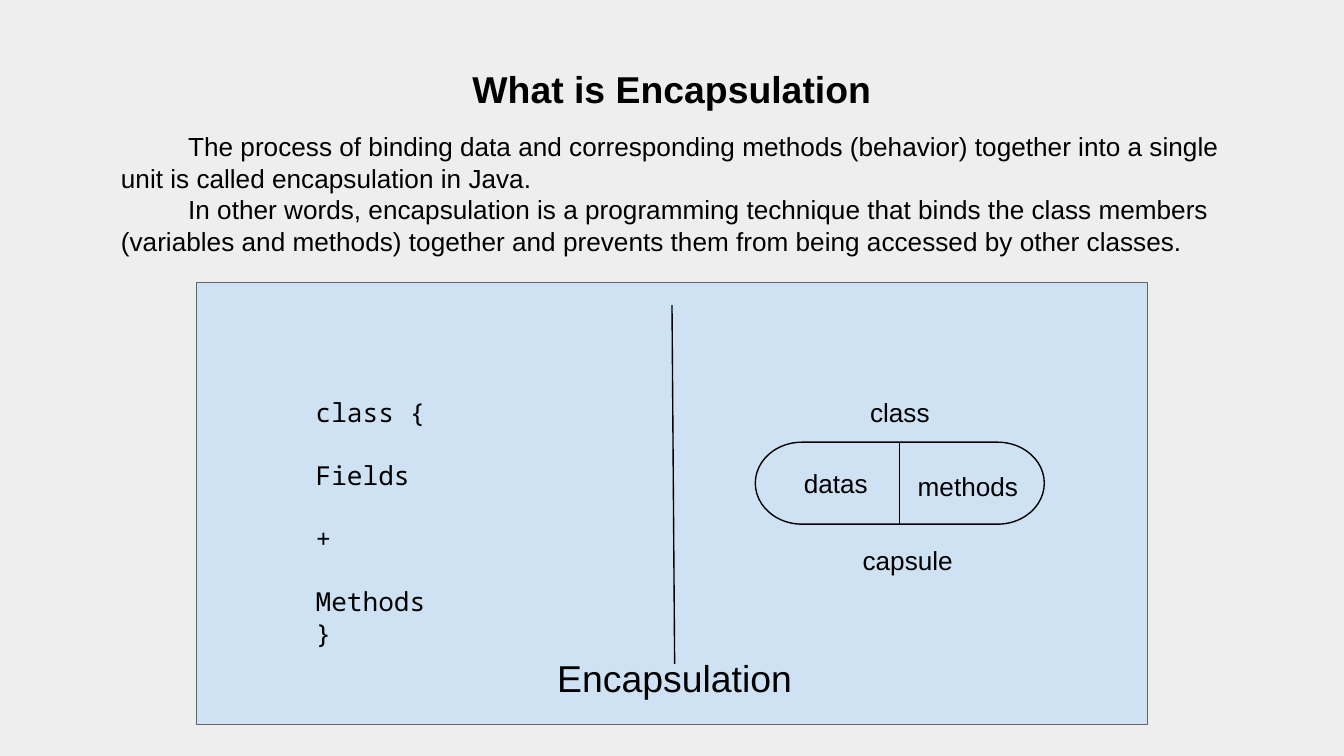
from lxml import etree
from pptx import Presentation
from pptx.dml.color import RGBColor
from pptx.enum import shapes, text
from pptx.oxml.ns import qn
from pptx.util import Inches, Pt

BLACK, PALE_BLUE, GRAY = "000000", "CFE2F3", "666666"


def write(sp, lines, box=None, size=14, font="Arial", bold=False,
          align=text.PP_ALIGN.LEFT, indent=0, gaps=(), left=0.1,
          anchor=text.MSO_ANCHOR.TOP):
    """Place and fill a shape; gaps are the indexes of lines set one line lower."""
    if box:
        sp.left, sp.top, sp.width, sp.height = map(Inches, box)
    tf = sp.text_frame
    tf.word_wrap = True
    tf.auto_size = text.MSO_AUTO_SIZE.NONE
    tf.vertical_anchor = anchor
    tf.margin_left = Inches(left)
    tf.margin_right = tf.margin_top = tf.margin_bottom = Inches(0.1)
    leading = Pt(round(size * 1.21, 1))
    for i, line in enumerate(lines):
        p = tf.paragraphs[0] if i == 0 else tf.add_paragraph()
        p.alignment = align
        p.line_spacing = leading
        p.space_before = leading if i in gaps else Pt(0)
        p.space_after = Pt(0)
        pPr = p._p.get_or_add_pPr()
        pPr.set("marL", "0")
        pPr.set("indent", str(Inches(indent)))
        etree.SubElement(pPr, qn("a:buNone"))
        r = p.add_run()
        r.text = line
        r.font.name, r.font.size, r.font.bold = font, Pt(size), bold
        r.font.color.rgb = RGBColor.from_string(BLACK)


def style(sp, line, fill=None):
    sp.line.color.rgb = RGBColor.from_string(line)
    sp.line.width = Pt(0.75)
    if fill:
        sp.shadow.inherit = False
        sp.fill.solid()
        sp.fill.fore_color.rgb = RGBColor.from_string(fill)
    else:
        etree.SubElement(sp._element.spPr, qn("a:effectLst"))


prs = Presentation()
prs.slide_width = Inches(10)
prs.slide_height = prs.slide_width * 9 // 16
s = prs.slides.add_slide(prs.slide_layouts[1])
s.background.fill.solid()
s.background.fill.fore_color.rgb = RGBColor.from_string("EEEEEE")
center = text.PP_ALIGN.CENTER

# Title and definition
write(s.shapes.title, ["What is Encapsulation"], (0, 0.39, 10, 0.54),
      size=20, bold=True, align=center)
write(s.placeholders[1], [
    "The process of binding data and corresponding methods (behavior) together "
    "into a single unit is called encapsulation in Java.",
    "In other words, encapsulation is a programming technique that binds the class "
    "members (variables and methods) together and prevents them from being accessed "
    "by other classes.",
], (0.8, 0.87, 8.42, 1.14), indent=0.5)

# Diagram panel with its divider
panel = s.shapes.add_shape(shapes.MSO_SHAPE.RECTANGLE, Inches(1.46), Inches(2.1),
                           Inches(7.08), Inches(3.29))
style(panel, GRAY, PALE_BLUE)
divider = s.shapes.add_connector(shapes.MSO_CONNECTOR.STRAIGHT, Inches(5),
                                 Inches(2.27), Inches(5.02), Inches(4.94))
style(divider, BLACK)

# Capsule split into two halves
capsule = s.shapes.add_shape(shapes.MSO_SHAPE.FLOWCHART_TERMINATOR, Inches(5.62),
                             Inches(3.29), Inches(2.15), Inches(0.61))
style(capsule, BLACK, PALE_BLUE)
write(capsule, ["datas"], left=0.26, anchor=text.MSO_ANCHOR.MIDDLE)
split = s.shapes.add_connector(shapes.MSO_CONNECTOR.STRAIGHT, 0, 0, 0, 0)
split.begin_connect(capsule, 0)
split.end_connect(capsule, 2)
style(split, BLACK)

# Code and labels
code = ["class {", "Fields", "+", "Methods", "}"]
for lines, box, fmt in [
    (["class"], (5.62, 2.85, 2.15, 0.44), {"align": center}),
    (code, (2.25, 2.85, 1.66, 1.38), {"font": "Noto Sans Mono", "gaps": (1, 2, 3)}),
    (["methods"], (6.73, 3.4, 0.96, 0.44), {}),
    (["capsule"], (5.82, 3.95, 1.83, 0.44), {"indent": 0.5}),
    (["Encapsulation"], (3.49, 4.77, 3.06, 0.54), {"size": 20, "align": center}),
]:
    write(s.shapes.add_textbox(0, 0, 0, 0), lines, box, **fmt)

prs.save("out.pptx")
